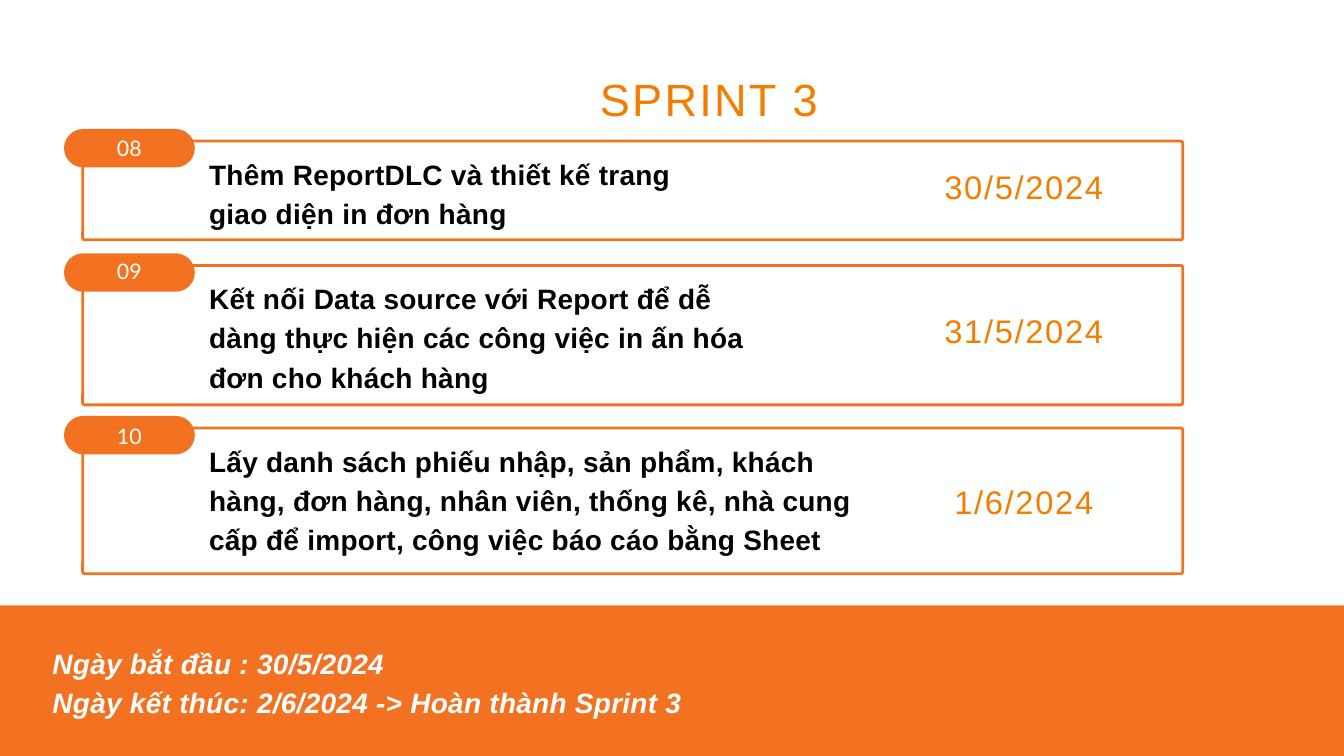
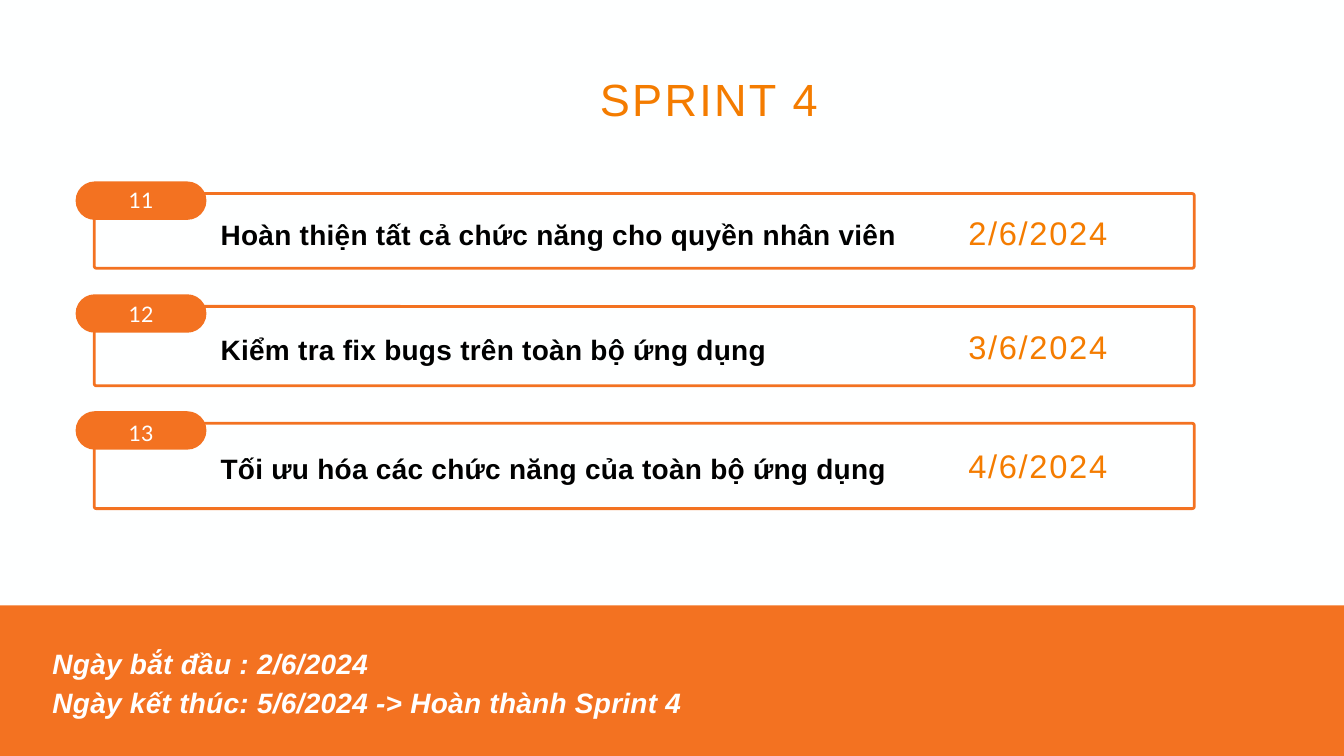
import pptx
import pptx.util
import pptx.dml.color
import pptx.enum.shapes
import pptx.enum.text

Pt = pptx.util.Pt
SHAPE = pptx.enum.shapes.MSO_SHAPE
ALIGN = pptx.enum.text.PP_ALIGN
ANCHOR = pptx.enum.text.MSO_ANCHOR

# Tops and heights are in points; label_top, text_top and date_top count from the frame's top.
SPRINTS = [
    {
        "title": "SPRINT 3",
        "frame_left": 88.6,
        "date_center": 1097,
        "tasks": [
            {"number": "08", "text": "Thêm ReportDLC và thiết kế trang giao diện in đơn hàng",
             "date": "30/5/2024", "top": 151.2, "height": 105.8, "lines": 2,
             "text_width": 525, "label_top": -23.8, "text_top": 11.5, "date_top": 21.6},
            {"number": "09", "text": "Kết nối Data source với Report để dễ dàng thực hiện "
                                     "các công việc in ấn hóa đơn cho khách hàng",
             "date": "31/5/2024", "top": 284.4, "height": 149.4, "lines": 3,
             "text_width": 578, "label_top": -25.2, "text_top": 11.5, "date_top": 41.8},
            {"number": "10", "text": "Lấy danh sách phiếu nhập, sản phẩm, khách hàng, đơn hàng, "
                                     "nhân viên, thống kê, nhà cung cấp để import, "
                                     "công việc báo cáo bằng Sheet",
             "date": "1/6/2024", "top": 458.6, "height": 156.2, "lines": 3,
             "text_width": 713.5, "label_top": -22.3, "text_top": 11.5, "date_top": 51.2},
        ],
        "footer": ["Ngày bắt đầu : 30/5/2024",
                   "Ngày kết thúc: 2/6/2024 -> Hoàn thành Sprint 3"],
    },
    {
        "title": "SPRINT 4",
        "frame_left": 101,
        "date_center": 1112,
        "tasks": [
            {"number": "11", "text": "Hoàn thiện tất cả chức năng cho quyền nhân viên",
             "date": "2/6/2024", "top": 207.4, "height": 80, "lines": 1,
             "text_width": 766, "label_top": -23.8, "text_top": 20.2, "date_top": 14.4},
            {"number": "12", "text": "Kiểm tra fix bugs trên toàn bộ ứng dụng",
             "date": "3/6/2024", "top": 328.3, "height": 85, "lines": 1,
             "text_width": 674, "label_top": -23, "text_top": 22.3, "date_top": 15.8},
            {"number": "13", "text": "Tối ưu hóa các chức năng của toàn bộ ứng dụng",
             "date": "4/6/2024", "top": 453.6, "height": 91.4, "lines": 1,
             "text_width": 737, "label_top": -20.9, "text_top": 23.8, "date_top": 18},
        ],
        "footer": ["Ngày bắt đầu : 2/6/2024",
                   "Ngày kết thúc: 5/6/2024 -> Hoàn thành Sprint 4"],
    },
]

COLORS = {"background": "FEFFFF", "orange": "F37221", "accent": "F47C00",
          "white": "FFFFFF", "black": "000000"}

STYLES = {
    "title": dict(size=48.3, color="accent", line=66.7, spacing=2.4, align=ALIGN.CENTER),
    "number": dict(size=22.9, color="white", line=32.1, spacing=0.2, align=ALIGN.CENTER,
                   font="Lato", anchor=ANCHOR.MIDDLE, inset=4),
    "task": dict(size=30, color="black", line=42, spacing=0.3, bold=True),
    "date": dict(size=35, color="accent", line=48.3, spacing=1.8, align=ALIGN.CENTER),
    "footer": dict(size=30, color="white", line=42, spacing=0.3, bold=True, italic=True),
}

SLIDE_WIDTH, SLIDE_HEIGHT = 1440, 810
BAND_TOP = 648.7
FRAME_WIDTH, FRAME_RADIUS = 1178.6, 2.2
PILL_WIDTH, PILL_HEIGHT = 140.2, 41.2
PILL_SHIFT_X, PILL_SHIFT_Y = -20, -13
LABEL_HEIGHT = 57.6
TEXT_SHIFT_X = 135.4
DATE_WIDTH, DATE_HEIGHT = 214, 51.8


def rgb(name):
    return pptx.dml.color.RGBColor.from_string(COLORS[name])


def place(left, top, width, height):
    return [Pt(value) for value in (left, top, width, height)]


def write(box, text, size, color, line, spacing, font="Arial", bold=False, italic=False,
          align=ALIGN.LEFT, anchor=ANCHOR.TOP, inset=0):
    """Fill a box with text, one paragraph for each line of the string."""
    frame = box.text_frame
    frame.word_wrap = True
    frame.auto_size = pptx.enum.text.MSO_AUTO_SIZE.NONE
    frame.vertical_anchor = anchor
    frame.margin_left = frame.margin_right = Pt(inset)
    frame.margin_top = frame.margin_bottom = Pt(inset)
    frame.text = text
    for para in frame.paragraphs:
        para.alignment = align
        para.line_spacing = Pt(line)
        for span in para.runs:
            span.font.name = font
            span.font.size = Pt(size)
            span.font.bold = bold
            span.font.italic = italic
            span.font.color.rgb = rgb(color)
            span.font._element.set("spc", str(round(spacing * 100)))


def add_text(page, text, position, style):
    write(page.shapes.add_textbox(*place(*position)), text, **STYLES[style])


def add_block(page, kind, position, fill=None, outline=None, radius=None):
    block = page.shapes.add_shape(kind, *place(*position))
    block.shadow.inherit = False
    if fill:
        block.fill.solid()
        block.fill.fore_color.rgb = rgb(fill)
    else:
        block.fill.background()
    if outline:
        block.line.color.rgb = rgb(outline)
        block.line.width = Pt(3)
    else:
        block.line.fill.background()
    if radius is not None:
        block.adjustments[0] = radius / min(position[2:])


def add_task(page, task, left, date_center):
    top = task["top"]
    pill_left = left + PILL_SHIFT_X
    add_block(page, SHAPE.ROUNDED_RECTANGLE, (left, top, FRAME_WIDTH, task["height"]),
              outline="orange", radius=FRAME_RADIUS)
    add_block(page, SHAPE.ROUNDED_RECTANGLE,
              (pill_left, top + PILL_SHIFT_Y, PILL_WIDTH, PILL_HEIGHT),
              fill="orange", radius=PILL_HEIGHT / 2)
    add_text(page, task["number"],
             (pill_left, top + task["label_top"], PILL_WIDTH, LABEL_HEIGHT), "number")
    add_text(page, task["text"],
             (left + TEXT_SHIFT_X, top + task["text_top"], task["text_width"],
              STYLES["task"]["line"] * task["lines"]), "task")
    add_text(page, task["date"],
             (date_center - DATE_WIDTH / 2, top + task["date_top"], DATE_WIDTH, DATE_HEIGHT),
             "date")


def add_sprint(deck, sprint):
    page = deck.slides.add_slide(deck.slide_layouts.get_by_name("Title Only"))
    title = page.shapes.title
    title.left, title.top, title.width, title.height = place(432.7, 67.7, 653.8, 70.6)
    write(title, sprint["title"], **STYLES["title"])
    add_block(page, SHAPE.RECTANGLE,
              (0, BAND_TOP, SLIDE_WIDTH, SLIDE_HEIGHT - BAND_TOP), fill="orange")
    for task in sprint["tasks"]:
        add_task(page, task, sprint["frame_left"], sprint["date_center"])
    add_text(page, "\n".join(sprint["footer"]), (56.2, 686.9, 936.7, 85), "footer")


def main():
    deck = pptx.Presentation()
    deck.slide_width, deck.slide_height = Pt(SLIDE_WIDTH), Pt(SLIDE_HEIGHT)
    background = deck.slide_master.background.fill
    background.solid()
    background.fore_color.rgb = rgb("background")
    for sprint in SPRINTS:
        add_sprint(deck, sprint)
    deck.save("out.pptx")


if __name__ == "__main__":
    main()
